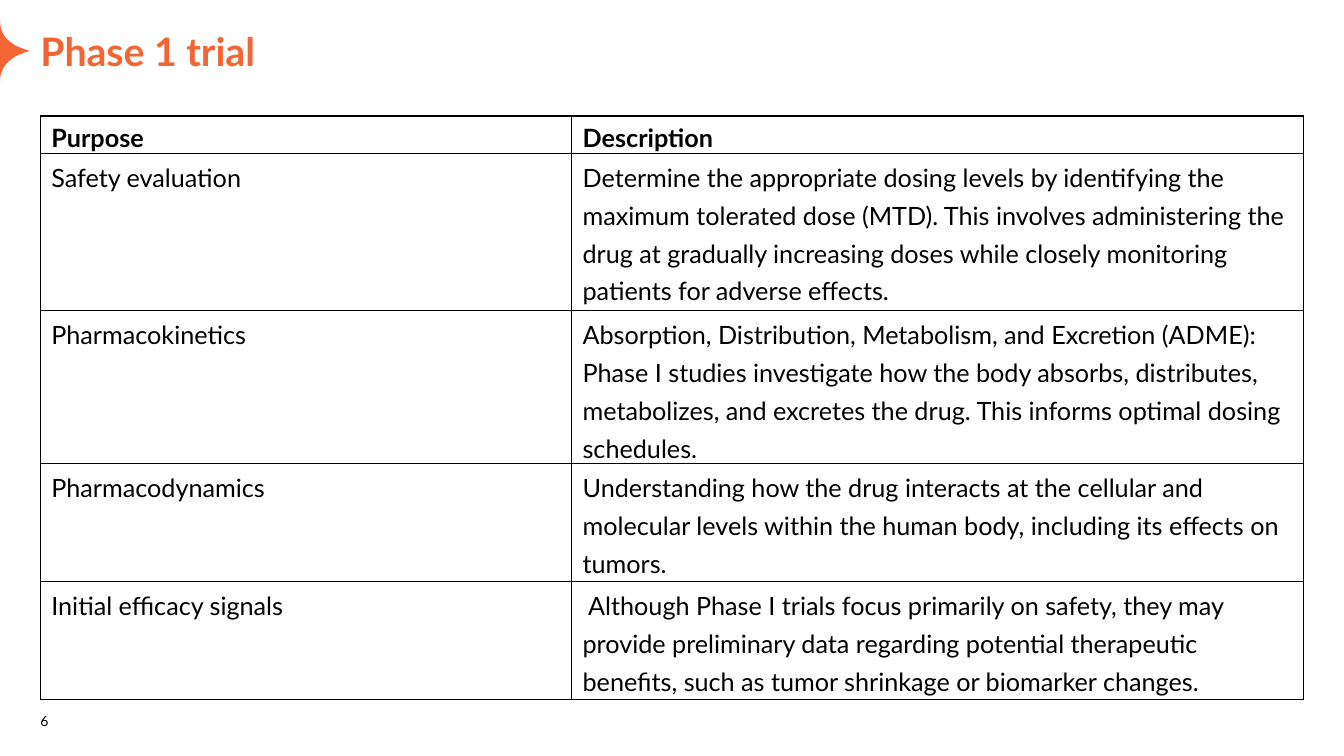
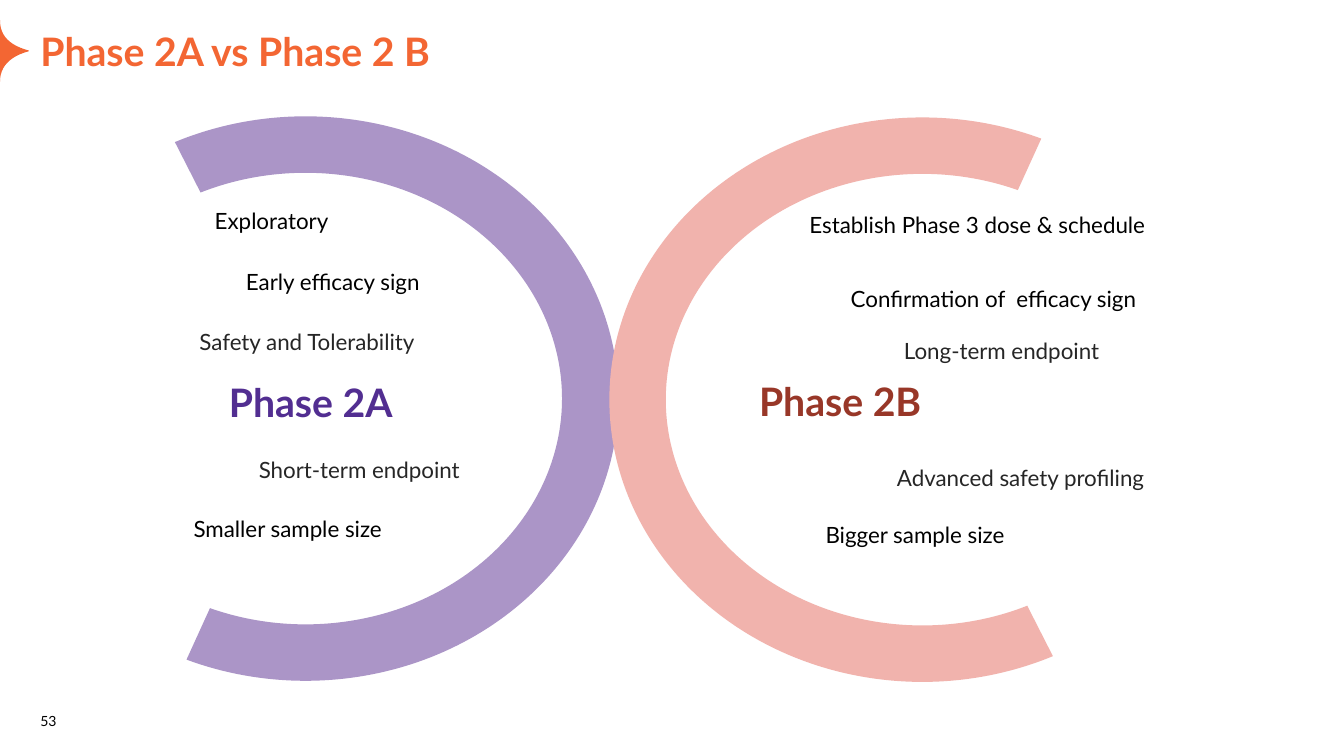
from dataclasses import dataclass

from lxml import etree
from pptx import Presentation
from pptx.dml.color import RGBColor
from pptx.enum import shapes as es, text as et
from pptx.oxml import ns
from pptx.util import Pt

FONT = "Lato"
BLACK = RGBColor(0x00, 0x00, 0x00)
GRAY = RGBColor(0x26, 0x26, 0x26)
ORANGE = RGBColor(0xF3, 0x66, 0x33)
PURPLE = RGBColor(0x52, 0x2E, 0x91)
LILAC = RGBColor(0xAB, 0x95, 0xC7)
RUST = RGBColor(0x98, 0x37, 0x28)
PINK = RGBColor(0xF1, 0xB3, 0xAD)

LEFT, WIDE = 28.8, 902.2
TOP, BOTTOM = et.MSO_ANCHOR.TOP, et.MSO_ANCHOR.BOTTOM
FLUSH = (0, 0, 0, 0)
TIGHT = (2.9, 2.9, 2.9, 2.9)
LOOSE = (7.2, 3.6, 7.2, 3.6)
CELL = (7.9, 1.4, 7.9, 0)

# Edge mark: start point, then the three points of each Bezier curve
START = (0, 14.4)
CURVES = [
    ((0, 25.9), (7.2, 32.4), (20.2, 36)),
    ((20.9, 36), (20.9, 36.7), (20.2, 36.7)),
    ((7.2, 40.3), (0, 47.5), (0, 58.3)),
]
STEPS = 12


@dataclass
class Arc:
    left: float
    top: float
    turn: int
    color: RGBColor


@dataclass
class Note:
    words: str
    left: float
    top: float
    width: float
    color: RGBColor = BLACK
    size: float = 16
    bold: bool = False
    height: float = 36
    inset: tuple = TIGHT
    after: float = 3


def soft(words: str, left: float, top: float, width: float) -> Note:
    """A gray note with the wider inset."""
    return Note(words, left, top, width, GRAY, height=26.6, inset=LOOSE, after=0)


ROWS = [
    ("Purpose", "Description"),
    ("Safety evaluation",
     "Determine the appropriate dosing levels by identifying the maximum tolerated "
     "dose (MTD). This involves administering the drug at gradually increasing doses "
     "while closely monitoring patients for adverse effects."),
    ("Pharmacokinetics",
     "Absorption, Distribution, Metabolism, and Excretion (ADME): Phase I studies "
     "investigate how the body absorbs, distributes, metabolizes, and excretes the "
     "drug. This informs optimal dosing schedules."),
    ("Pharmacodynamics",
     "Understanding how the drug interacts at the cellular and molecular levels "
     "within the human body, including its effects on tumors."),
    ("Initial efficacy signals",
     " Although Phase I trials focus primarily on safety, they may provide "
     "preliminary data regarding potential therapeutic benefits, such as tumor "
     "shrinkage or biomarker changes."),
]
COLS = [379.5, 522.7]
HIGHS = [26.6, 112.3, 109.4, 84.2, 84.2]

ARCS = [Arc(16.6, 61.2, 90, LILAC), Arc(457.2, 61.9, 270, PINK)]
NOTES = [
    Note("Phase 2A", 160.6, 267.1, 141.8, PURPLE, 28, True),
    Note("Phase 2B", 539.3, 266.4, 161.3, RUST, 28, True),
    Note("Exploratory", 150.5, 145.4, 212.4),
    Note("Early efficacy sign", 172.8, 188.6, 141.8),
    soft("Safety and Tolerability", 135.4, 231.1, 190.1),
    soft("Short-term endpoint", 177.8, 322.6, 272.9),
    Note("Smaller sample size", 135.4, 365, 212.4),
    Note("Establish Phase 3 dose & schedule", 575.3, 147.6, 280.8),
    Note("Confirmation of  efficacy sign", 604.8, 200.9, 232.6),
    soft("Long-term endpoint", 638.6, 237.6, 217.4),
    soft("Advanced safety profiling", 633.6, 328.3, 217.4),
    Note("Bigger sample size", 586.8, 369.4, 212.4),
]


def write(host, words: str, *, size: float = 16, color: RGBColor = BLACK,
          bold: bool = False, after: float = 0, lines: float = 1.0,
          inset: tuple = FLUSH, anchor=TOP) -> None:
    """Fill a shape or table cell with one formatted paragraph."""
    frame = host.text_frame
    frame.word_wrap = True
    area = frame if hasattr(host, "shape_id") else host
    area.margin_left, area.margin_top, area.margin_right, area.margin_bottom = map(Pt, inset)
    area.vertical_anchor = anchor
    para = frame.paragraphs[0]
    para.alignment = et.PP_ALIGN.LEFT
    para.space_after = Pt(after)
    para.line_spacing = lines
    run = para.add_run()
    run.text = words
    font = run.font
    font.name, font.size, font.bold = FONT, Pt(size), bold
    font.color.rgb = color


def paint(shape, color: RGBColor) -> None:
    shape.shadow.inherit = False
    shape.fill.solid()
    shape.fill.fore_color.rgb = color
    shape.line.fill.background()


def trace() -> list[tuple[int, int]]:
    """Points along the curves of the edge mark."""
    dots, a = [], START
    for b, c, d in CURVES:
        for step in range(1, STEPS + 1):
            t = step / STEPS
            s = 1 - t
            x, y = (s**3 * p + 3 * s * s * t * q + 3 * s * t * t * r + t**3 * e
                    for p, q, r, e in zip(a, b, c, d))
            dots.append((Pt(x), Pt(y)))
        a = d
    return dots


def start(deck, title: str, number: str):
    """Add a slide with the shared mark, title and page number."""
    slide = deck.slides.add_slide(deck.slide_layouts[5])
    pen = slide.shapes.build_freeform(*map(Pt, START))
    pen.add_line_segments(trace(), close=True)
    paint(pen.convert_to_shape(), ORANGE)
    head = slide.shapes.title
    head.left, head.top, head.width, head.height = map(Pt, (LEFT, 19.4, WIDE, 33.8))
    write(head, title, size=28, color=ORANGE, bold=True, anchor=BOTTOM)
    head.text_frame.auto_size = et.MSO_AUTO_SIZE.NONE
    page = slide.shapes.add_textbox(*map(Pt, (LEFT, 499.7, 42.5, 21.6)))
    write(page, number, size=10, after=6, anchor=BOTTOM)
    return slide


def edge(cell) -> None:
    """Black one-point lines on all sides of a cell."""
    props = cell._tc.get_or_add_tcPr()
    for side in ("lnL", "lnR", "lnT", "lnB"):
        line = etree.SubElement(props, ns.qn(f"a:{side}"), w=str(Pt(1)))
        fill = etree.SubElement(line, ns.qn("a:solidFill"))
        etree.SubElement(fill, ns.qn("a:srgbClr"), val=str(BLACK))


def grid(slide) -> None:
    box = map(Pt, (LEFT, 82.8, sum(COLS), sum(HIGHS)))
    table = slide.shapes.add_table(len(ROWS), len(COLS), *box).table
    table.first_row = table.horz_banding = False
    for col, width in zip(table.columns, COLS):
        col.width = Pt(width)
    for i, (row, high) in enumerate(zip(table.rows, HIGHS)):
        row.height = Pt(high)
        for cell, words in zip(row.cells, ROWS[i]):
            top = i == 0
            write(cell, words, size=18, bold=top, after=0 if "ADME" in words else 8,
                  lines=1.15 if top else 1.25, inset=CELL)
            edge(cell)
            cell.fill.background()


def bow(slide, arc: Arc) -> None:
    box = map(Pt, (arc.left, arc.top, 403.2, 447.1))
    shape = slide.shapes.add_shape(es.MSO_SHAPE.BLOCK_ARC, *box)
    for i, value in enumerate((91.81, 14.7, 0.1)):
        shape.adjustments[i] = value
    shape.rotation = arc.turn
    paint(shape, arc.color)


def label(slide, note: Note) -> None:
    box = slide.shapes.add_textbox(*map(Pt, (note.left, note.top, note.width, note.height)))
    write(box, note.words, size=note.size, color=note.color, bold=note.bold,
          after=note.after, inset=note.inset)


def main() -> None:
    deck = Presentation()
    deck.slide_width, deck.slide_height = Pt(960), Pt(540)

    # Purposes of phase 1
    grid(start(deck, "Phase 1 trial", "6"))

    # The two halves of phase 2
    slide = start(deck, "Phase 2A vs Phase 2 B", "53")
    for arc in ARCS:
        bow(slide, arc)
    for note in NOTES:
        label(slide, note)

    deck.save("out.pptx")


if __name__ == "__main__":
    main()
